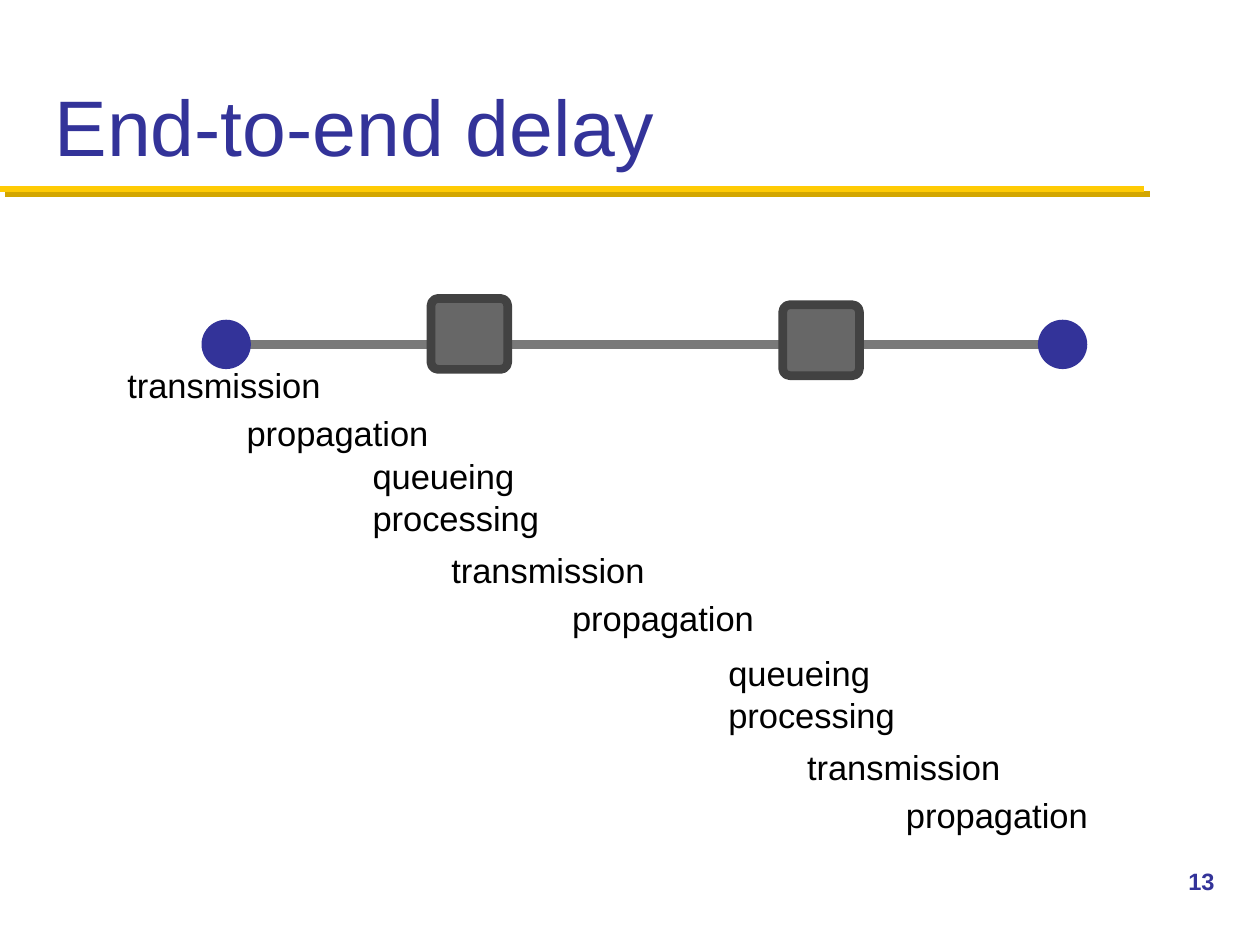
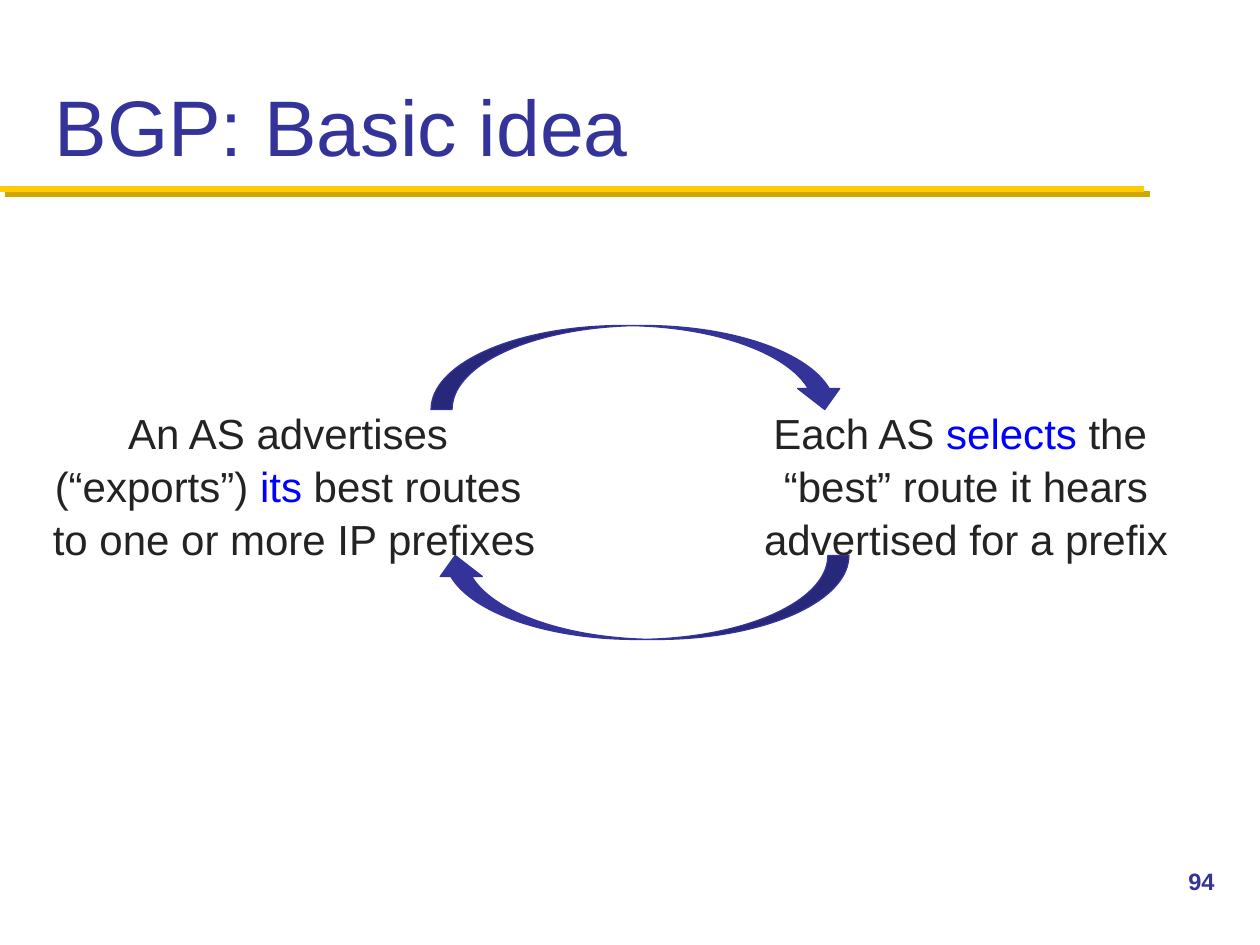
from dataclasses import dataclass

from lxml import etree
from pptx import Presentation
from pptx.dml.color import RGBColor
from pptx.enum.shapes import MSO_CONNECTOR, MSO_SHAPE
from pptx.enum.text import MSO_ANCHOR, PP_ALIGN
from pptx.oxml.ns import qn
from pptx.util import Inches, Pt

STRAIGHT = MSO_CONNECTOR.STRAIGHT
OVAL = MSO_SHAPE.OVAL
ROUNDED = MSO_SHAPE.ROUNDED_RECTANGLE
CURVED_ARROW = MSO_SHAPE.CURVED_LEFT_ARROW
TOP, MIDDLE, BOTTOM = MSO_ANCHOR.TOP, MSO_ANCHOR.MIDDLE, MSO_ANCHOR.BOTTOM
LEFT, CENTER = PP_ALIGN.LEFT, PP_ALIGN.CENTER

SLIDE_WIDTH, SLIDE_HEIGHT = Inches(10), Inches(7.5)
COLUMNS, ROWS = 120, 90
TITLE_AND_BODY, TITLE_ONLY = 1, 5
BREAK = "\n"


@dataclass(frozen=True)
class Theme:
    font: str = "Arial"
    primary: str = "333399"
    rule: str = "FFCB05"
    rule_shadow: str = "D3A600"
    text: str = "232323"
    label: str = "000000"
    emphasis: str = "0000FF"
    link: str = "797979"
    router: str = "676767"
    router_edge: str = "424242"
    title_size: float = 45
    body_size: float = 24
    label_size: float = 19.7
    number_size: float = 13.5


THEME = Theme()


def column(count):
    return round(SLIDE_WIDTH * count / COLUMNS)


def row(count):
    return round(SLIDE_HEIGHT * count / ROWS)


def grid_box(left, top, width, height):
    return column(left), row(top), column(width), row(height)


def centered_box(center, size):
    (x, y), (width, height) = center, size
    return grid_box(x - width / 2, y - height / 2, width, height)


def place(shape, box):
    shape.left, shape.top, shape.width, shape.height = box


def set_text(shape, runs, size, anchor=TOP, align=LEFT, margins=(0.1, 0.05),
             spacing=1, bold=False):
    """Fill the shape with one paragraph of (text, colour) runs and BREAKs."""
    frame = shape.text_frame
    frame.word_wrap = True
    frame.vertical_anchor = anchor
    frame.margin_left = frame.margin_right = Inches(margins[0])
    frame.margin_top = frame.margin_bottom = Inches(margins[1])
    paragraph = frame.paragraphs[0]
    paragraph.alignment = align
    paragraph.line_spacing = spacing
    paragraph.space_before = Pt(0)
    for item in runs:
        if item == BREAK:
            paragraph.add_line_break()
            continue
        text, color = item
        run = paragraph.add_run()
        run.text = text
        run.font.name = THEME.font
        run.font.size = Pt(size)
        run.font.bold = bold
        run.font.color.rgb = RGBColor.from_string(color)
    return paragraph


def add_text(slide, box, runs, size, **options):
    set_text(slide.shapes.add_textbox(*box), runs, size, **options)


def add_line(slide, start, end, color, width):
    line = slide.shapes.add_connector(
        STRAIGHT, column(start[0]), row(start[1]), column(end[0]), row(end[1]))
    line.line.color.rgb = RGBColor.from_string(color)
    line.line.width = Pt(width)
    properties = line.line._get_or_add_ln().getparent()
    return etree.SubElement(properties, qn("a:effectLst"))


def add_filled(slide, kind, box, fill, edge=None, edge_width=0):
    shape = slide.shapes.add_shape(kind, *box)
    shape.shadow.inherit = False
    shape.fill.solid()
    shape.fill.fore_color.rgb = RGBColor.from_string(fill)
    if edge:
        shape.line.color.rgb = RGBColor.from_string(edge)
        shape.line.width = Pt(edge_width)
    else:
        shape.line.fill.background()
    return shape


def add_title_rule(slide):
    effects = add_line(slide, (0, 18), (109, 18), THEME.rule, 3.5)
    shadow = etree.SubElement(effects, qn("a:outerShdw"), blurRad="0",
                              dist=str(Pt(4.25)), dir=str(45 * 60000),
                              algn="ctr", rotWithShape="0")
    etree.SubElement(shadow, qn("a:srgbClr"), val=THEME.rule_shadow)


def add_base_slide(presentation, layout, title, number):
    slide = presentation.slides.add_slide(presentation.slide_layouts[layout])
    add_title_rule(slide)
    place(slide.shapes.title, grid_box(4, 2, 112, 15))
    set_text(slide.shapes.title, [(title, THEME.primary)], THEME.title_size,
             anchor=BOTTOM)
    add_text(slide, grid_box(112, 82, 8, 6), [(str(number), THEME.primary)],
             THEME.number_size, bold=True)
    return slide


def add_network_path(slide):
    link_row = 32.8
    add_line(slide, (22.2, link_row), (100.2, link_row), THEME.link, 5)
    for host_column in (21.54, 101.2):
        add_filled(slide, OVAL, centered_box((host_column, link_row), (4.7, 4.7)),
                   THEME.primary)
    for center in ((44.7, 31.8), (78.2, 32.4)):
        router = add_filled(slide, ROUNDED, centered_box(center, (7.3, 6.75)),
                            THEME.router, THEME.router_edge, 5)
        router.adjustments[0] = 0.1


def add_hop_delays(slide, left, top, propagation_left, through_router=True):
    """Stack the delays of one hop; the sending host has no router delays."""
    delays = [("transmission", left + 7.5, 9),
              ("propagation", propagation_left, 13.56)]
    if through_router:
        delays = [("queueing", left, 0), ("processing", left, 4)] + delays
    for name, label_left, offset in delays:
        add_text(slide, grid_box(label_left, top + offset, 20, 4.92),
                 [(name, THEME.label)], THEME.label_size, anchor=MIDDLE,
                 margins=(0.04, 0.04))


def build_delay_slide(presentation):
    slide = add_base_slide(presentation, TITLE_ONLY, "End-to-end delay", 13)
    add_network_path(slide)
    add_hop_delays(slide, 4.14, 25.2, 23, through_router=False)
    add_hop_delays(slide, 35, 42.84, 54)
    add_hop_delays(slide, 68.88, 61.56, 85.8)


def build_bgp_slide(presentation):
    slide = add_base_slide(presentation, TITLE_AND_BODY, "BGP: Basic idea", 94)
    statement = {"size": THEME.body_size, "align": CENTER, "spacing": 1.05}

    body = slide.placeholders[1]
    place(body, grid_box(64, 38, 56, 17))
    selects = [("Each AS ", THEME.text), ("selects", THEME.emphasis),
               (" the ", THEME.text), BREAK,
               ("“best” route it hears advertised for a prefix", THEME.text)]
    properties = set_text(body, selects, **statement)._p.get_or_add_pPr()
    properties.set("marL", "0")
    properties.set("indent", "0")
    etree.SubElement(properties, qn("a:buNone"))

    advertises = [("An AS advertises ", THEME.text), BREAK,
                  ("(“exports”) ", THEME.text), ("its", THEME.emphasis),
                  (" best routes ", THEME.text), BREAK,
                  ("to one or more IP prefixes", THEME.text)]
    add_text(slide, grid_box(3, 38, 50, 17), advertises, **statement)

    for center, rotation in (((60.8, 35), 270), ((61.1, 56.9), 90)):
        arrow = add_filled(slide, CURVED_ARROW, centered_box(center, (8, 39.5)),
                           THEME.primary, THEME.primary, 0.75)
        arrow.rotation = rotation


def main():
    presentation = Presentation()
    presentation.slide_width, presentation.slide_height = SLIDE_WIDTH, SLIDE_HEIGHT
    build_delay_slide(presentation)
    build_bgp_slide(presentation)
    presentation.save("out.pptx")


if __name__ == "__main__":
    main()
